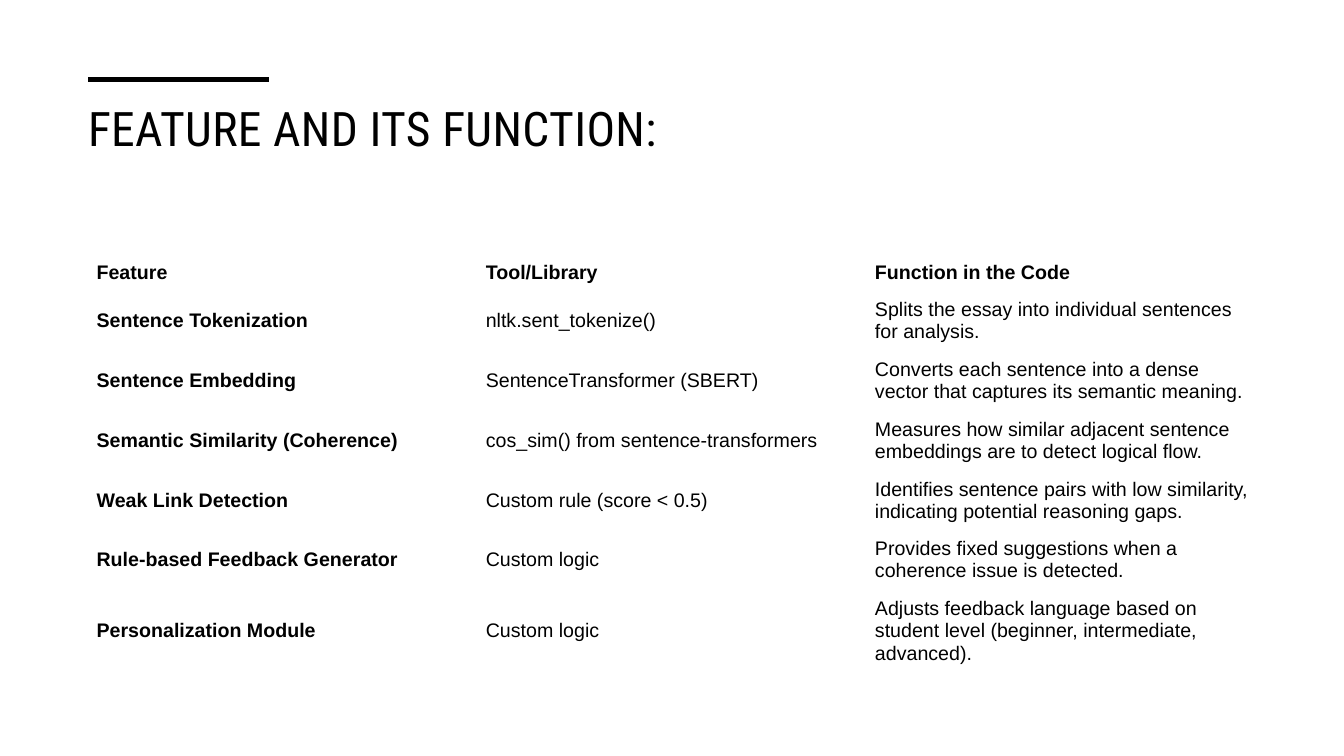
from dataclasses import dataclass

from pptx import Presentation
from pptx.dml.color import RGBColor
from pptx.enum.shapes import MSO_CONNECTOR as Connector
from pptx.enum.text import MSO_ANCHOR as Anchor
from pptx.oxml.ns import qn
from pptx.slide import Slide
from pptx.text.text import TextFrame
from pptx.util import Pt
from lxml.etree import SubElement


@dataclass(frozen=True)
class Theme:
    ink: RGBColor = RGBColor(0, 0, 0)
    title_font: str = "Roboto Condensed"
    body_font: str = "Arial"
    title_size: float = 34
    body_size: float = 14
    rule_width: float = 3.5


@dataclass(frozen=True)
class Feature:
    name: str
    tool: str
    function: str
    height: float = 42.8


THEME = Theme()
NO_TABLE_STYLE = "{2D5ABB26-0587-4C30-8999-92F81FD0307C}"
LEFT = 63.2
COLUMN_WIDTHS = (278, 278, 281.4)
HEADER = Feature("Feature", "Tool/Library", "Function in the Code", 25.2)
FEATURES = (
    Feature("Sentence Tokenization", "nltk.sent_tokenize()",
            "Splits the essay into individual sentences for analysis."),
    Feature("Sentence Embedding", "SentenceTransformer (SBERT)",
            "Converts each sentence into a dense vector that captures its semantic meaning."),
    Feature("Semantic Similarity (Coherence)", "cos_sim() from sentence-transformers",
            "Measures how similar adjacent sentence embeddings are to detect logical flow."),
    Feature("Weak Link Detection", "Custom rule (score < 0.5)",
            "Identifies sentence pairs with low similarity, indicating potential reasoning gaps."),
    Feature("Rule-based Feedback Generator", "Custom logic",
            "Provides fixed suggestions when a coherence issue is detected."),
    Feature("Personalization Module", "Custom logic",
            "Adjusts feedback language based on student level (beginner, intermediate, advanced).",
            58.7),
)


def write(tf: TextFrame, text: str, *, font: str = THEME.body_font,
          size: float = THEME.body_size, bold: bool = False,
          line_spacing: float | None = None, tracking: float = 0) -> None:
    tf.word_wrap = True
    p = tf.paragraphs[0]
    p.line_spacing = line_spacing
    r = p.add_run()
    r.text = text
    r.font.name = font
    r.font.size = Pt(size)
    r.font.bold = bold
    r.font.color.rgb = THEME.ink
    if tracking:
        r.font._element.set("spc", str(round(tracking * 100)))


def add_title(s: Slide, text: str) -> None:
    tf = s.shapes.add_textbox(Pt(55.8), Pt(72), Pt(850), Pt(83)).text_frame
    tf.vertical_anchor = Anchor.TOP
    write(tf, text, font=THEME.title_font, size=THEME.title_size,
          line_spacing=0.9, tracking=0.3)


def add_rule(s: Slide) -> None:
    y = Pt(56.8)
    rule = s.shapes.add_connector(Connector.STRAIGHT, Pt(LEFT), y, Pt(192.2), y)
    rule.line.color.rgb = THEME.ink
    rule.line.width = Pt(THEME.rule_width)
    SubElement(rule._element.spPr, qn("a:effectLst"))


def add_feature_table(s: Slide, features: tuple[Feature, ...]) -> None:
    rows = (HEADER, *features)
    table = s.shapes.add_table(
        len(rows), len(COLUMN_WIDTHS), Pt(LEFT), Pt(182.4),
        Pt(sum(COLUMN_WIDTHS)), Pt(sum(row.height for row in rows))).table
    table.first_row = table.horz_banding = False
    table._tbl.tblPr.find(qn("a:tableStyleId")).text = NO_TABLE_STYLE
    for column, width in zip(table.columns, COLUMN_WIDTHS):
        column.width = Pt(width)
    for i, row in enumerate(rows):
        table.rows[i].height = Pt(row.height)
        for j, text in enumerate((row.name, row.tool, row.function)):
            cell = table.cell(i, j)
            cell.fill.background()
            cell.vertical_anchor = Anchor.MIDDLE
            cell.margin_left = cell.margin_right = Pt(5.8)
            cell.margin_top = cell.margin_bottom = Pt(2.9)
            write(cell.text_frame, text, bold=i == 0 or j == 0)


def main() -> None:
    prs = Presentation()
    prs.slide_width, prs.slide_height = Pt(960), Pt(540)
    s = prs.slides.add_slide(prs.slide_layouts[6])
    add_title(s, "FEATURE AND ITS FUNCTION:")
    add_rule(s)
    add_feature_table(s, FEATURES)
    prs.save("out.pptx")


if __name__ == "__main__":
    main()
